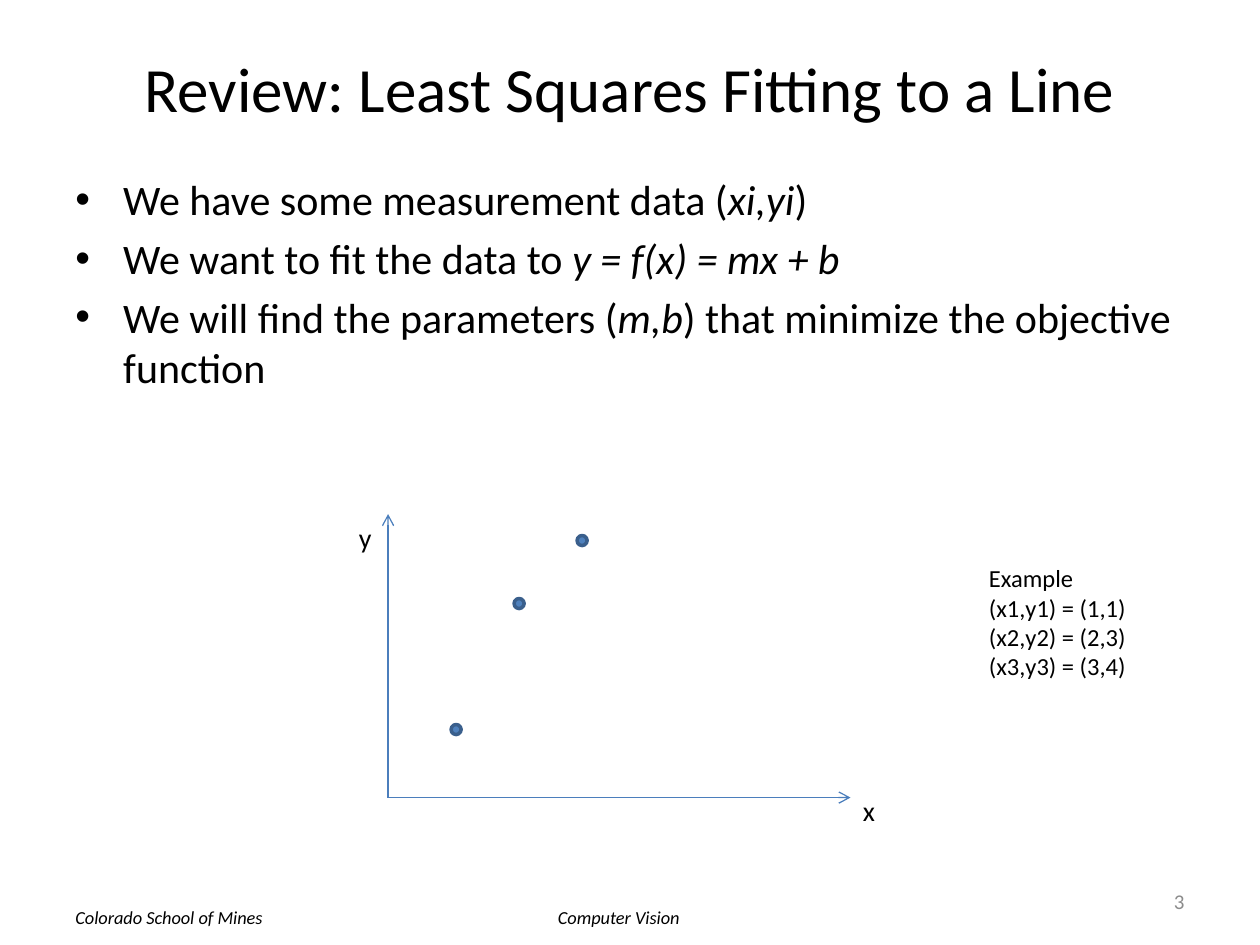
"""Build the slide reviewing least squares fitting to a line."""
from lxml import etree
from pptx import Presentation
from pptx.dml.color import RGBColor
from pptx.enum.shapes import MSO_CONNECTOR, MSO_SHAPE
from pptx.enum.text import MSO_ANCHOR, PP_ALIGN
from pptx.oxml.ns import qn
from pptx.util import Inches, Pt

LEFT, CENTER, RIGHT = PP_ALIGN.LEFT, PP_ALIGN.CENTER, PP_ALIGN.RIGHT
TOP, MIDDLE = MSO_ANCHOR.TOP, MSO_ANCHOR.MIDDLE
STRAIGHT, OVAL = MSO_CONNECTOR.STRAIGHT, MSO_SHAPE.OVAL

COLORS = {"ink": "000000", "number": "8C8C8C", "axis": "4B7EBC",
          "dot": "4F81BD", "rim": "3A5F8C"}
WIDTH, HEIGHT, MARGIN = 10, 7.5, 0.5
CONTENT = WIDTH - 2 * MARGIN
INDENT = 0.38

TITLE = "Review: Least Squares Fitting to a Line"
BULLETS = [
    [("We have some measurement data (", False), ("xi,yi", True), (")", False)],
    [("We want to fit the data to ", False), ("y = f(x) = mx + b", True)],
    [("We will find the parameters (", False), ("m,b", True),
     (") that minimize the objective function", False)],
]
POINTS = [(1, 1), (2, 3), (3, 4)]
EXAMPLE = ["Example"] + [f"(x{i},y{i}) = ({x},{y})"
                         for i, (x, y) in enumerate(POINTS, 1)]
ORIGIN, X_END, Y_END = (3.08, 6.33), (6.75, 6.33), (3.08, 4.08)
DOT_ORIGIN, UNIT, DOT = (3.08, 6.25), 0.5, 0.08

FOOTER = {"size": 10.5, "italic": True, "wrap": False}
LABEL = {"size": 16}
TEXTS = [
    ((4.33, 7.14, 1.18, 0.28), ["Computer Vision"], FOOTER),
    ((MARGIN, 7.14, 1.71, 0.28), ["Colorado School of Mines"], FOOTER),
    ((MARGIN, 0.3, CONTENT, 0.78), [TITLE],
     {"size": 36, "align": CENTER, "anchor": MIDDLE}),
    ((MARGIN, 1.33, CONTENT, 5.37), BULLETS,
     {"size": 24, "bullet": "•", "before": 4.8}),
    ((7.17, 6.95, 2.33, 0.4), ["3"],
     {"size": 12, "align": RIGHT, "anchor": MIDDLE, "color": "number"}),
    ((X_END[0], 6.25, 0.33, 0.37), ["x"], LABEL),
    ((2.75, Y_END[1], 0.33, 0.37), ["y"], LABEL),
    ((7.75, 4.42, 1.67, 1.04), EXAMPLE, {"size": 14}),
]


def rgb(name):
    return RGBColor.from_string(COLORS[name])


def add_bullet(para, mark):
    props = para._p.get_or_add_pPr()
    props.set("marL", str(Inches(INDENT)))
    props.set("indent", str(-Inches(INDENT)))
    font = etree.SubElement(props, qn("a:buFont"))
    font.set("typeface", "Arial")
    etree.SubElement(props, qn("a:buChar")).set("char", mark)


def add_text(page, place, lines, style):
    box = page.shapes.add_textbox(*map(Inches, place))
    frame = box.text_frame
    frame.word_wrap = style.get("wrap", True)
    frame.vertical_anchor = style.get("anchor", TOP)
    for index, line in enumerate(lines):
        para = frame.add_paragraph() if index else frame.paragraphs[0]
        para.alignment = style.get("align", LEFT)
        if index and "before" in style:
            para.space_before = Pt(style["before"])
        if "bullet" in style:
            add_bullet(para, style["bullet"])
        spans = [(line, style.get("italic", False))] if isinstance(line, str) else line
        for text, italic in spans:
            span = para.add_run()
            span.text = text
            look = {"name": "Calibri", "size": Pt(style["size"]), "italic": italic}
            for key, value in look.items():
                setattr(span.font, key, value)
            span.font.color.rgb = rgb(style.get("color", "ink"))


def add_axis(page, end):
    axis = page.shapes.add_connector(STRAIGHT, *map(Inches, ORIGIN + end))
    axis.line.color.rgb = rgb("axis")
    axis.line.width = Pt(0.75)
    etree.SubElement(axis.line._get_or_add_ln(), qn("a:tailEnd")).set("type", "arrow")
    etree.SubElement(axis._element.spPr, qn("a:effectLst"))


def add_dot(page, x, y):
    left, top = DOT_ORIGIN[0] + x * UNIT, DOT_ORIGIN[1] - y * UNIT
    dot = page.shapes.add_shape(OVAL, *map(Inches, (left, top, DOT, DOT)))
    dot.shadow.inherit = False
    dot.fill.solid()
    dot.fill.fore_color.rgb = rgb("dot")
    dot.line.color.rgb = rgb("rim")
    dot.line.width = Pt(2)


def main():
    deck = Presentation()
    deck.slide_width, deck.slide_height = Inches(WIDTH), Inches(HEIGHT)
    page = deck.slides.add_slide(deck.slide_layouts[6])
    for place, lines, style in TEXTS:
        add_text(page, place, lines, style)
    for end in (X_END, Y_END):
        add_axis(page, end)
    for x, y in POINTS:
        add_dot(page, x, y)
    deck.save("out.pptx")


if __name__ == "__main__":
    main()
